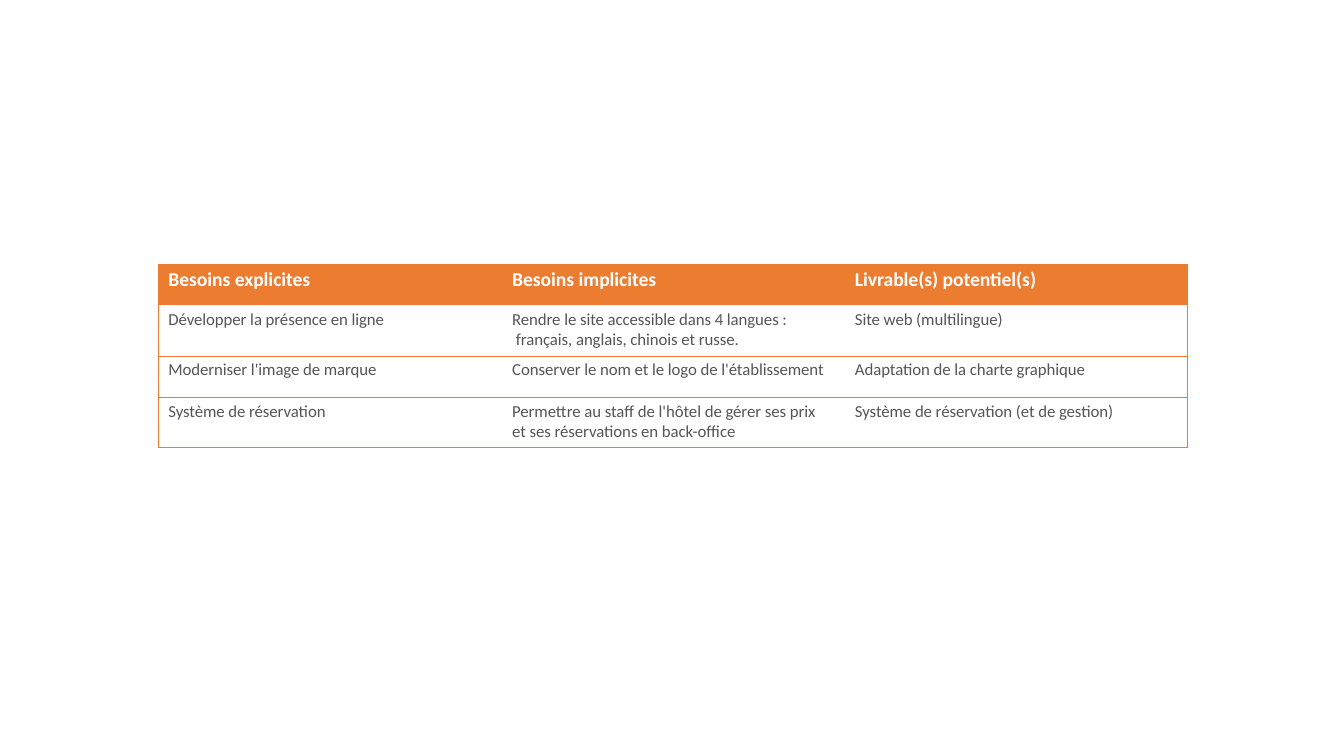
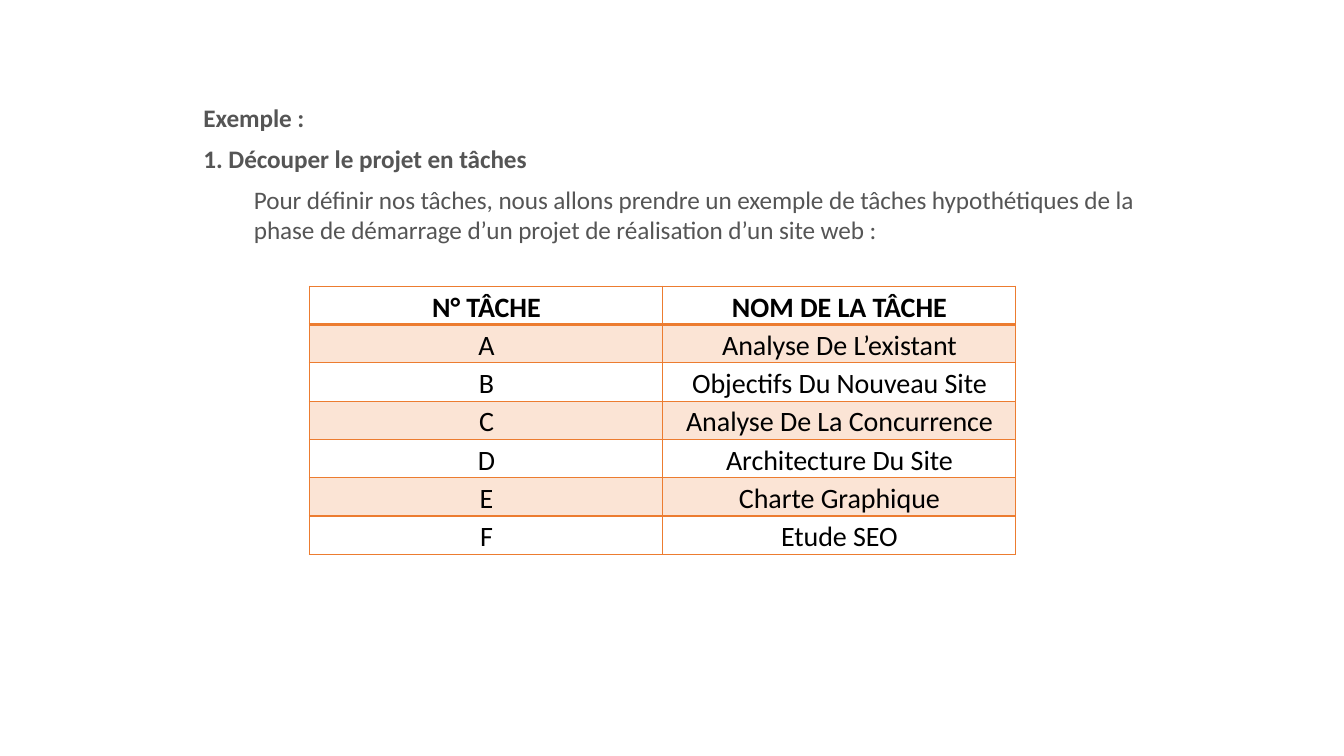
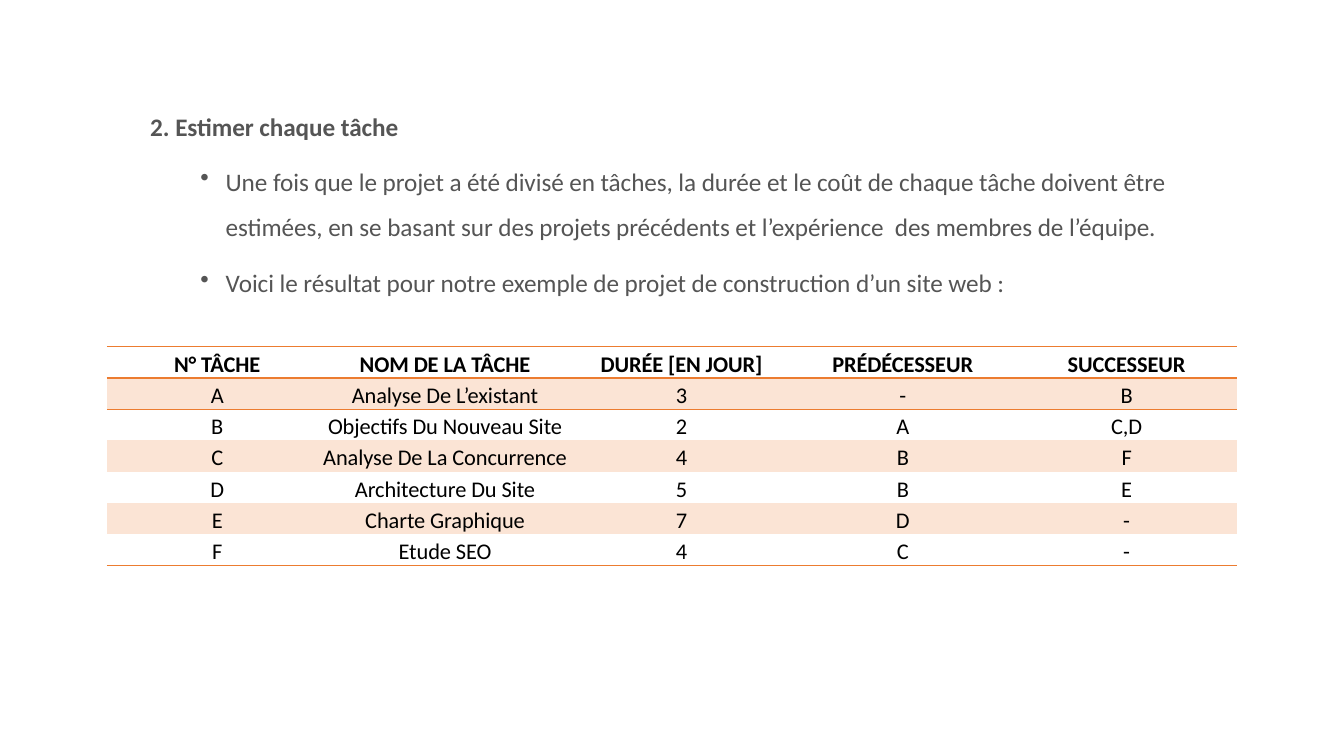
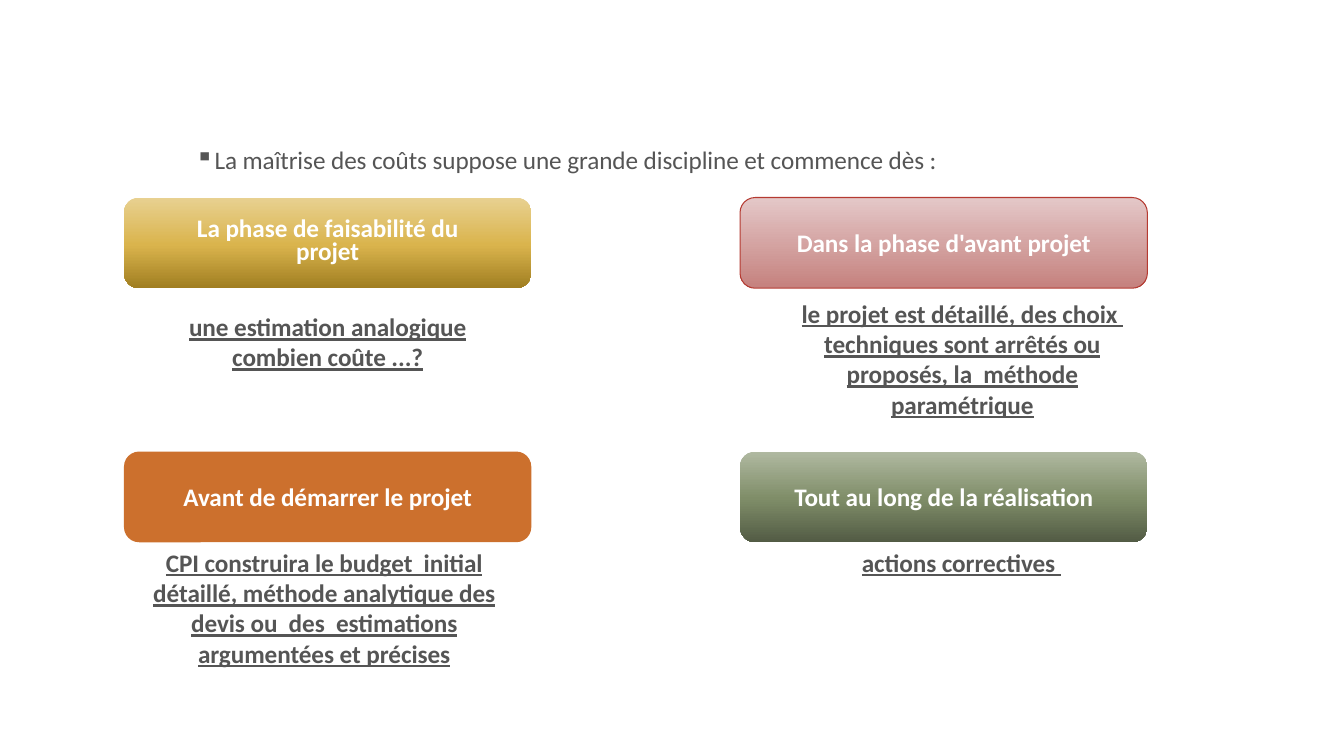
import pptx
import pptx.util
import pptx.dml.color
import pptx.enum.shapes
import pptx.enum.text
import pptx.oxml.ns
import lxml.etree

Inches, Pt = pptx.util.Inches, pptx.util.Pt
qn = pptx.oxml.ns.qn
ALIGN = pptx.enum.text.PP_ALIGN

# Shared look
FONT = "Calibri"
C = {"orange": "EC7C30", "peach": "FBE4D5", "grey": "555555",
     "white": "FFFFFF", "black": "000000", "red": "B53A31"}
NO_STYLE = "{2D5ABB26-0587-4C30-8999-92F81FD0307C}"
W, H = 13.33, 7.5

# Content
NEEDS = [
    ("Besoins explicites", "Besoins implicites", "Livrable(s) potentiel(s)"),
    ("Développer la présence en ligne",
     "Rendre le site accessible dans 4 langues :\v français, anglais, chinois et russe.",
     "Site web (multilingue)"),
    ("Moderniser l'image de marque",
     "Conserver le nom et le logo de l'établissement",
     "Adaptation de la charte graphique"),
    ("Système de réservation",
     "Permettre au staff de l'hôtel de gérer ses prix\vet ses réservations en back-office",
     "Système de réservation (et de gestion)"),
]
TASKS = [
    ("N° TÂCHE", "NOM DE LA TÂCHE", "DURÉE [EN JOUR]", "PRÉDÉCESSEUR", "SUCCESSEUR"),
    ("A", "Analyse De L’existant", "3", "-", "B"),
    ("B", "Objectifs Du Nouveau Site", "2", "A", "C,D"),
    ("C", "Analyse De La Concurrence", "4", "B", "F"),
    ("D", "Architecture Du Site", "5", "B", "E"),
    ("E", "Charte Graphique", "7", "D", "-"),
    ("F", "Etude SEO", "4", "C", "-"),
]
SPLIT_TEXT = [
    ("Exemple :", dict(bold=True, before=7.7, left=0.01)),
    ("1. Découper le projet en tâches", dict(bold=True, before=7.7, left=0.01)),
    ("Pour définir nos tâches, nous allons prendre un exemple de tâches hypothétiques de la "
     "phase de démarrage d’un projet de réalisation d’un site web :",
     dict(before=7.5, left=0.51)),
]
BULLET = dict(left=0.76, hang=0.25, spacing=1.5, bullet="•")
ESTIMATE_TEXT = [
    ("Estimer chaque tâche",
     dict(bold=True, before=8.7, left=0.26, hang=0.25, spacing=1.5, number=2)),
    ("Une fois que le projet a été divisé en tâches, la durée et le coût de chaque tâche "
     "doivent être estimées, en se basant sur des projets précédents et l’expérience  "
     "des membres de l’équipe.", dict(BULLET, before=6.2)),
    ("Voici le résultat pour notre exemple de projet de construction d’un site web :",
     dict(BULLET, before=7.7)),
]
COST_TEXT = [("La maîtrise des coûts suppose une grande discipline et commence dès :",
              dict(align=ALIGN.JUSTIFY, left=0.2, hang=0.19, spacing=1.5, bullet="▪"))]
# Phase name lines, colour stops from top to bottom, outline, note box, note lines
PHASES = [
    (["La phase de faisabilité du", "projet"],
     [(0, "E8D191"), (52, "DAB44D"), (100, "A07E21")], None,
     (1.49, 3.04, 3.52, 0.71), ["une estimation analogique", "combien coûte ...?"]),
    (["Dans la phase d'avant projet"],
     [(0, "E4C8C8"), (100, "C5817E")], "red",
     (7.71, 2.91, 3.67, 1.31),
     ["le projet est détaillé, des choix  techniques sont arrêtés ou proposés, "
      "la  méthode paramétrique"]),
    (["Avant de démarrer le projet"],
     [(0, "CC702D")], None,
     (1.42, 5.38, 3.59, 1.31),
     ["CPI construira le budget  initial détaillé, méthode analytique des devis "
      "ou  des  estimations argumentées et précises"]),
    (["Tout au long de la réalisation"],
     [(0, "B0B9A1"), (52, "7F8D68"), (100, "525B44")], None,
     (8.39, 5.38, 2.29, 0.4), ["actions correctives "]),
]


def rgb(value):
    return pptx.dml.color.RGBColor.from_string(C.get(value, value))


def put_text(p, text, size=18, color="grey", bold=False, underline=False, align=None,
             before=0, spacing=None, left=0, hang=0, bullet=None, number=None, spc=-5):
    """Fill one paragraph; a vertical tab in the text is a line break."""
    p.alignment, p.space_before = align, Pt(before)
    if spacing:
        p.line_spacing = spacing
    pPr = p._p.get_or_add_pPr()
    pPr.set("marL", str(Inches(left)))
    pPr.set("indent", str(-Inches(hang)))
    if bullet:
        lxml.etree.SubElement(pPr, qn("a:buChar"), char=bullet)
    elif number:
        lxml.etree.SubElement(pPr, qn("a:buAutoNum"), type="arabicPeriod", startAt=str(number))
    for i, line in enumerate(text.split("\v")):
        if i:
            p.add_line_break()
        r = p.add_run()
        r.text = line
        f = r.font
        f.name, f.size, f.bold, f.underline = FONT, Pt(size), bold, underline
        f.color.rgb = rgb(color)
        r._r.get_or_add_rPr().set("spc", str(spc))


def put_paragraphs(tf, paragraphs):
    tf.word_wrap = True
    for i, (text, fmt) in enumerate(paragraphs):
        put_text(tf.add_paragraph() if i else tf.paragraphs[0], text, **fmt)


def add_text(s, box, paragraphs):
    put_paragraphs(s.shapes.add_textbox(*map(Inches, box)).text_frame, paragraphs)


def set_borders(cell, widths):
    """widths maps sides L, R, T, B to points; other sides get no line."""
    tcPr = cell._tc.get_or_add_tcPr()
    for side in "LRTB":
        width = widths.get(side, 0)
        ln = lxml.etree.SubElement(tcPr, qn("a:ln" + side), w=str(Pt(width)))
        if width:
            fill = lxml.etree.SubElement(ln, qn("a:solidFill"))
            lxml.etree.SubElement(fill, qn("a:srgbClr"), val=C["orange"])
        else:
            lxml.etree.SubElement(ln, qn("a:noFill"))


def add_table(s, left, top, cols, heights, rows, indents, head, body, fill, borders):
    frame = s.shapes.add_table(len(rows), len(cols), Inches(left), Inches(top),
                               Inches(sum(cols)), Inches(sum(heights)))
    table = frame.table
    table._tbl.tblPr.find(qn("a:tableStyleId")).text = NO_STYLE
    for column, width in zip(table.columns, cols):
        column.width = Inches(width)
    for r, row in enumerate(rows):
        table.rows[r].height = Inches(heights[r])
        for c, text in enumerate(row):
            cell = table.cell(r, c)
            cell.margin_left = cell.margin_right = cell.margin_bottom = 0
            cell.margin_top = Inches(0.04)
            set_borders(cell, borders(r, c))
            if fill(r):
                cell.fill.solid()
                cell.fill.fore_color.rgb = rgb(fill(r))
            else:
                cell.fill.background()
            put_text(cell.text_frame.paragraphs[0], text, left=indents[c],
                     **(body if r else head))


def fill_stops(shape, stops):
    """One stop is a plain fill, more are a gradient from top to bottom."""
    if len(stops) == 1:
        shape.fill.solid()
        shape.fill.fore_color.rgb = rgb(stops[0][1])
        return
    shape.fill.gradient()
    shape.fill.gradient_angle = 270
    gs_list = shape._element.spPr.find(qn("a:gradFill")).find(qn("a:gsLst"))
    for gs in list(gs_list):
        gs_list.remove(gs)
    for pos, color in stops:
        gs = lxml.etree.SubElement(gs_list, qn("a:gs"), pos=str(pos * 1000))
        lxml.etree.SubElement(gs, qn("a:srgbClr"), val=color)


def band(r):
    return "peach" if r % 2 else None


def needs_borders(r, c):
    if r == 0:
        return {}
    sides = {"B": 0.5}
    if r > 1:
        sides["T"] = 0.5
    if c == 0:
        sides["L"] = 0.5
    if c == 2:
        sides["R"] = 0.5
    return sides


def task_borders(r, c):
    return {"L": 1, "R": 1, "T": 2.25 if r == 1 else 1, "B": 1 if r else 2.25}


def plan_borders(r, c):
    return {0: {"T": 1, "B": 1}, 1: {"T": 1, "B": 1}, 2: {"T": 1},
            len(TASKS) - 1: {"B": 1}}.get(r, {})


def needs_slide(s):
    add_table(s, 1.57, 2.62, [2.89, 3.89, 3.43], [0.41, 0.5, 0.41, 0.5], NEEDS,
              [0.1, 0.62, 0.13], dict(size=14, color="white", bold=True, before=3.2),
              dict(size=12, before=3), lambda r: None if r else "orange", needs_borders)


def tasks_slide(s):
    add_text(s, (1.91, 0.97, 9.52, 1.52), SPLIT_TEXT)
    fmt = dict(size=20, color="black", align=ALIGN.CENTER, before=3.2)
    add_table(s, 3.07, 2.84, [3.5] * 2, [0.38] * len(TASKS), [row[:2] for row in TASKS],
              [0.01] * 2, dict(fmt, bold=True), fmt, band, task_borders)


def plan_slide(s):
    add_text(s, (1.38, 0.91, 10.58, 2.07), ESTIMATE_TEXT)
    fmt = dict(size=16, color="black", align=ALIGN.CENTER, before=3.1)
    add_table(s, 1.06, 3.44, [1.99, 2.64, 2.14, 2.25, 2.19], [0.31] * len(TASKS), TASKS,
              [0.2, 0.09, 0, 0, 0], dict(fmt, bold=True), fmt, band, plan_borders)


def costs_slide(s):
    add_text(s, (1.83, 1.23, 9.68, 0.51), COST_TEXT)
    for i, (name, stops, outline, note_box, note) in enumerate(PHASES):
        row, col = divmod(i, 2)
        box = (1.23 + 6.11 * col, 1.96 + 2.52 * row, 4.04, 0.9)
        sp = s.shapes.add_shape(pptx.enum.shapes.MSO_SHAPE.ROUNDED_RECTANGLE,
                                *map(Inches, box))
        sp.shadow.inherit = False
        fill_stops(sp, stops)
        if outline:
            sp.line.color.rgb = rgb(outline)
            sp.line.width = Pt(0.75)
        else:
            sp.line.fill.background()
        sp.text_frame.vertical_anchor = pptx.enum.text.MSO_ANCHOR.MIDDLE
        spacing = Pt(16.2) if len(name) > 1 else None
        put_paragraphs(sp.text_frame, [
            (line, dict(color="white", bold=True, align=ALIGN.CENTER, spacing=spacing,
                        before=0 if n else 0.9)) for n, line in enumerate(name)])
        add_text(s, note_box, [(line, dict(bold=True, underline=True, align=ALIGN.CENTER))
                               for line in note])


def main():
    prs = pptx.Presentation()
    prs.slide_width, prs.slide_height = Inches(W), Inches(H)
    for build in (needs_slide, tasks_slide, plan_slide, costs_slide):
        build(prs.slides.add_slide(prs.slide_layouts[6]))
    prs.save("out.pptx")


if __name__ == "__main__":
    main()
